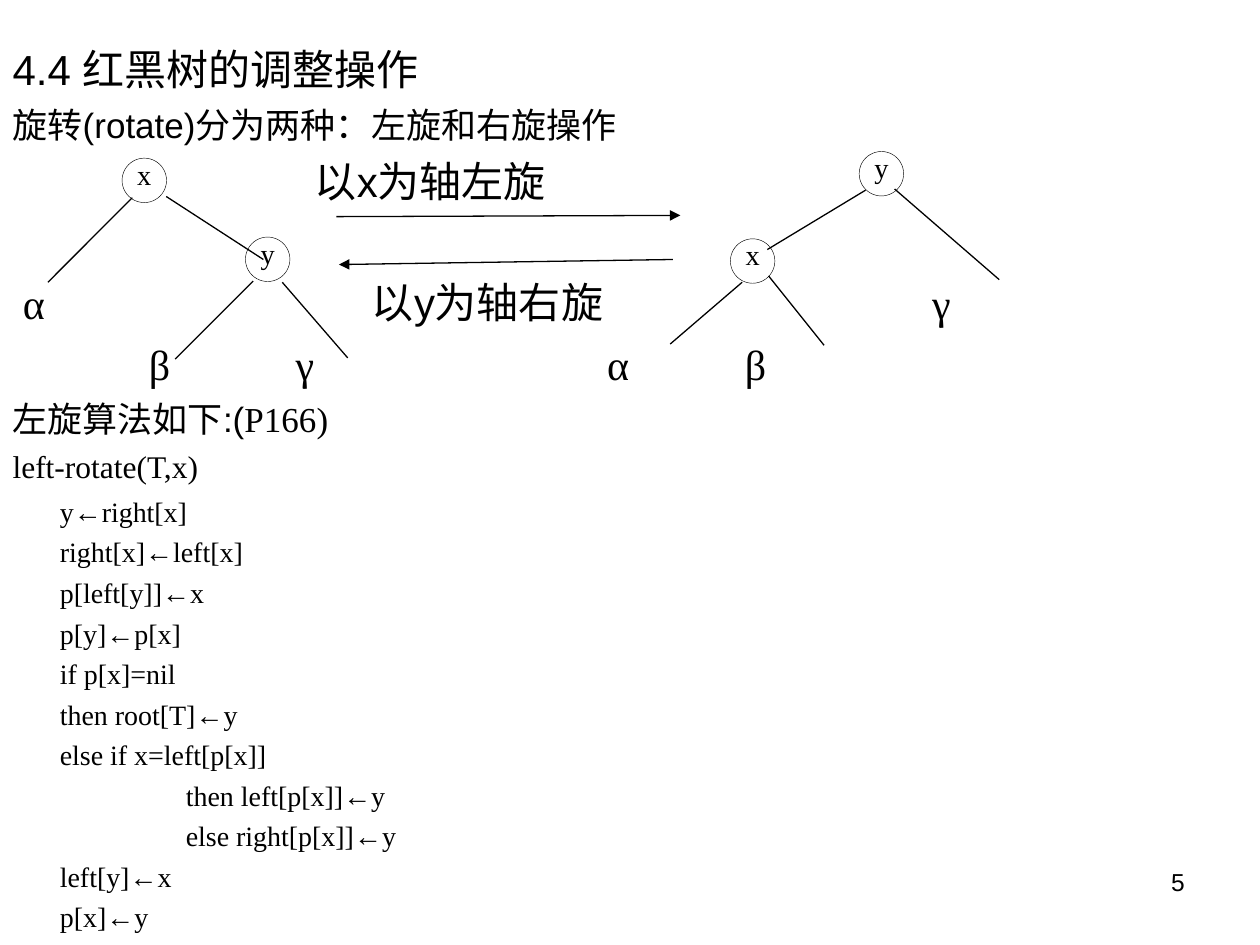
from dataclasses import dataclass

from lxml.etree import SubElement
from pptx import Presentation
from pptx.dml.color import RGBColor
from pptx.enum.shapes import MSO_CONNECTOR as Conn, MSO_SHAPE as Shape
from pptx.enum.text import MSO_ANCHOR as Anchor, MSO_AUTO_SIZE as AutoSize, PP_ALIGN as Align
from pptx.oxml.ns import qn
from pptx.util import Pt


@dataclass(frozen=True)
class Theme:
    ink: RGBColor = RGBColor(0, 0, 0)
    paper: RGBColor = RGBColor(255, 255, 255)
    sans: str = "Arial"
    serif: str = "Times New Roman"
    title: int = 24
    body: int = 20
    signature: int = 18
    code: int = 16
    number: int = 14
    node: int = 28


T = Theme()
NODE_SIZE = 25.4
CODE_PITCH = 23.15
CODE_INDENT = 72

NODES = [("x", 69.8, 90.4), ("y", 140.3, 135.5), ("y", 491, 86.6), ("x", 417.4, 136.5)]
EDGES = [
    (95, 112.3, 150.5, 148.3), (494.6, 108.7, 438.5, 142.6),
    (75.6, 113, 27.4, 161.3), (144.7, 160.6, 100.1, 205.2),
    (161.3, 161.3, 198.7, 204.5), (511.2, 108, 571, 159.8),
    (424.1, 161.3, 383, 196.6), (439.2, 157.7, 470.9, 197.3),
]
ROTATIONS = [(192.2, 123.8, 388.8, 123.1), (384.5, 148.3, 193.7, 151.2)]
SUBTREES = [
    ("α", 13.1, 173), ("γ", 532.6, 173), ("β", 85.1, 207.9),
    ("γ", 169, 207.9), ("α", 346.9, 207.9), ("β", 425.7, 207.9),
]
CODE = [
    (0, "y←right[x]"), (0, "right[x]←left[x]"), (0, "p[left[y]]←x"), (0, "p[y]←p[x]"),
    (0, "if p[x]=nil"), (0, "then root[T]←y"), (0, "else if x=left[p[x]]"),
    (1, "then left[p[x]]←y"), (1, "else right[p[x]]←y"), (0, "left[y]←x"), (0, "p[x]←y"),
]


def add_run(p, text, size, font):
    r = p.add_run()
    r.text = text
    r.font.size, r.font.name = Pt(size), font
    r.font.color.rgb = T.ink
    return r


def set_frame(sp, anchor=Anchor.MIDDLE, wrap=True):
    tf = sp.text_frame
    tf.margin_left = tf.margin_right = tf.margin_top = tf.margin_bottom = 0
    tf.vertical_anchor, tf.word_wrap, tf.auto_size = anchor, wrap, AutoSize.NONE
    return tf


def add_title(s, text, x, middle):
    sp = s.shapes.title
    sp.left, sp.top, sp.width, sp.height = Pt(x), Pt(middle - 18), Pt(690), Pt(36)
    p = set_frame(sp).paragraphs[0]
    p.alignment = Align.LEFT
    add_run(p, text, T.title, T.sans)


def add_label(s, runs, x, middle, width, size, align=Align.LEFT):
    sp = s.shapes.add_textbox(Pt(x), Pt(middle - 18), Pt(width), Pt(36))
    p = set_frame(sp).paragraphs[0]
    p.alignment = align
    for text, font in runs:
        add_run(p, text, size, font)


def add_node(s, name, x, y):
    sp = s.shapes.add_shape(Shape.OVAL, Pt(x), Pt(y), Pt(NODE_SIZE), Pt(NODE_SIZE))
    sp.shadow.inherit = False
    sp.fill.solid()
    sp.fill.fore_color.rgb = T.paper
    sp.line.color.rgb, sp.line.width = T.ink, Pt(0.25)
    p = set_frame(sp, wrap=False).paragraphs[0]
    p.alignment = Align.CENTER
    r = add_run(p, name, T.node, T.serif)
    r.font._element.set("baseline", "30000")


def add_line(s, ends, arrow=False):
    line = s.shapes.add_connector(Conn.STRAIGHT, *map(Pt, ends))
    line.line.color.rgb, line.line.width = T.ink, Pt(0.75)
    if arrow:
        SubElement(line.line._get_or_add_ln(), qn("a:tailEnd"), type="triangle")
    SubElement(line._element.spPr, qn("a:effectLst"))


def add_code(s, lines, x, y):
    sp = s.shapes.add_textbox(Pt(x), Pt(y), Pt(400), Pt(CODE_PITCH * len(lines)))
    tf = set_frame(sp, Anchor.TOP)
    for i, (level, text) in enumerate(lines):
        p = tf.add_paragraph() if i else tf.paragraphs[0]
        p.line_spacing = Pt(CODE_PITCH)
        p._p.get_or_add_pPr().set("marL", str(Pt(CODE_INDENT * level)))
        target, arrow, value = text.partition("←")
        add_run(p, target, T.code, T.serif)
        if arrow:
            add_run(p, arrow, T.code, T.sans)
            add_run(p, value, T.code, T.serif)


def main():
    prs = Presentation()
    prs.slide_width, prs.slide_height = Pt(720), Pt(540)
    s = prs.slides.add_slide(prs.slide_layouts[5])

    add_title(s, "4.4 红黑树的调整操作", 7.2, 39.5)
    add_label(s, [("旋转(rotate)分为两种：左旋和右旋操作", T.sans)], 7.2, 71, 690, T.body)
    add_label(s, [("以x为轴左旋", T.sans)], 180, 103.5, 200, T.title)
    add_label(s, [("以y为轴右旋", T.sans)], 212.6, 172.5, 200, T.title)
    for name, x, middle in SUBTREES:
        add_label(s, [(name, T.serif)], x, middle, 30, T.title)
    for node in NODES:
        add_node(s, *node)
    for edge in EDGES:
        add_line(s, edge)
    for rotation in ROTATIONS:
        add_line(s, rotation, arrow=True)

    add_label(s, [("左旋算法如下:(", T.sans), ("P166)", T.serif)], 7.2, 239, 400, T.body)
    add_label(s, [("left-rotate(T,x)", T.serif)], 7.2, 266, 400, T.signature)
    add_code(s, CODE, 34.2, 278.6)
    add_label(s, [("5", T.sans)], 516, 504, 161, T.number, Align.RIGHT)
    prs.save("out.pptx")


if __name__ == "__main__":
    main()
